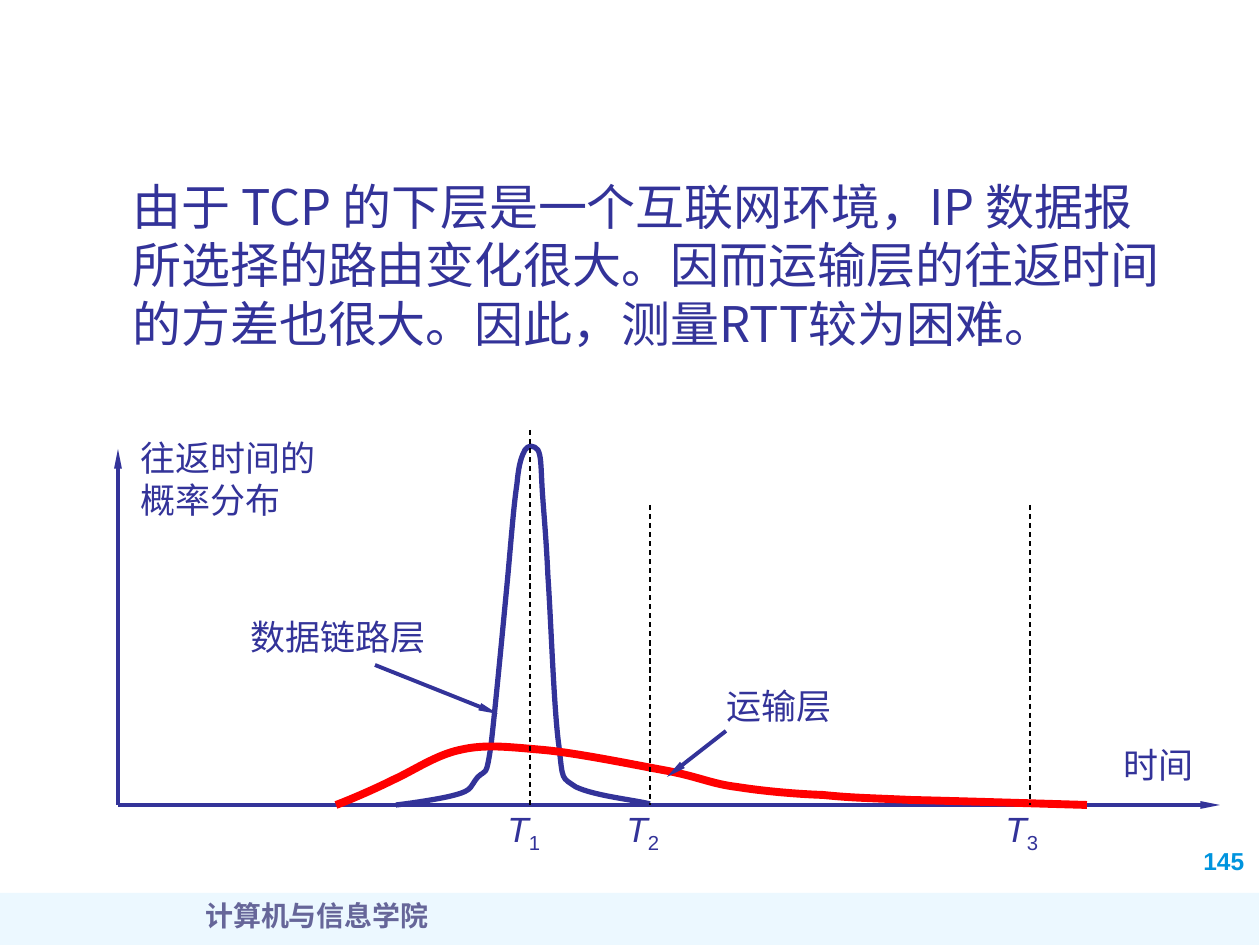
"""Build a slide on the spread of round-trip times at the link and transport layers."""
from lxml import etree
from pptx import Presentation, util as u
from pptx.dml.color import RGBColor
from pptx.enum import dml, shapes, text
from pptx.oxml import ns

PX = 914400 // 126
NAVY = RGBColor(0x33, 0x33, 0x99)
RED = RGBColor(0xFF, 0x00, 0x00)
BLACK = RGBColor(0x00, 0x00, 0x00)
SKY = RGBColor(0xA7, 0xE2, 0xFF)
BLUE = RGBColor(0x00, 0x94, 0xDE)
SLATE = RGBColor(0x66, 0x66, 0x99)
CJK = "Noto Sans CJK SC"

BAND = (-1, 893, 1260, 55)
BAND_ALPHA = 21
PAGE_NUMBER = ((1191, 840, 74, 42), "145")
FOOTER = ((34, 892, 566, 63), "计算机与信息学院")
STATEMENT = ((120, 170, 1071, 198),
             "由于 TCP 的下层是一个互联网环境，IP 数据报所选择的路由变化很大。"
             "因而运输层的往返时间的方差也很大。因此，测量RTT较为困难。")
LABELS = [
    ((1111, 737, 97, 54), ["时间"]),
    ((238, 609, 204, 54), ["数据链路层"]),
    ((714, 678, 132, 54), ["运输层"]),
    ((128, 430, 204, 97), ["往返时间的", "概率分布"]),
]
AXIS_Y = 805
AXES = [(118, AXIS_Y, 1220, AXIS_Y), (118, AXIS_Y, 118, 449)]
POINTERS = [(375, 665, 498, 714), (726, 731, 667, 777)]
MARKERS = [("1", 530, 430, 495), ("2", 650, 505, 614), ("3", 1030, 505, 993)]

LINK_LAYER = [
    (396, 805),
    (406, 804), (441, 799), (455, 795),
    (474, 790), (470, 786), (478, 777),
    (486, 769), (486, 779), (491, 746),
    (495, 712), (504, 617), (508, 575),
    (512, 530), (514, 504), (517, 484),
    (519, 462), (522, 456), (525, 450),
    (528, 445), (534, 445), (538, 450),
    (541, 456), (541, 464), (542, 484),
    (543, 505), (546, 532), (548, 576),
    (551, 619), (554, 711), (559, 746),
    (563, 781), (561, 777), (576, 787),
    (595, 796), (635, 800), (650, 804),
]
TRANSPORT_LAYER = [
    (336, 805),
    (347, 801), (373, 790), (393, 780),
    (413, 771), (436, 755), (460, 750),
    (485, 744), (508, 747), (543, 750),
    (577, 753), (635, 765), (668, 771),
    (699, 777), (712, 784), (737, 787),
    (762, 791), (794, 794), (823, 795),
    (852, 798), (867, 798), (911, 800),
    (955, 801), (1051, 804), (1087, 805),
]
CURVES = [(LINK_LAYER, NAVY, 3), (TRANSPORT_LAYER, RED, 4.5)]


def emu(lengths):
    return [length * PX for length in lengths]


def add_run(paragraph, words, size, color, font="Arial", bold=False, italic=False):
    run = paragraph.add_run()
    run.text = words
    run.font.size = u.Pt(size)
    run.font.name = font
    run.font.bold = bold
    run.font.italic = italic
    run.font.color.rgb = color
    etree.SubElement(run.font._element, ns.qn("a:ea"), typeface=CJK)
    return run


def add_text(slide, box, lines, size, color, wrap=True, align=text.PP_ALIGN.LEFT, **style):
    textbox = slide.shapes.add_textbox(*emu(box))
    frame = textbox.text_frame
    frame.word_wrap = wrap
    if not wrap:
        frame.auto_size = text.MSO_AUTO_SIZE.SHAPE_TO_FIT_TEXT
    for index, words in enumerate(lines):
        paragraph = frame.add_paragraph() if index else frame.paragraphs[0]
        paragraph.alignment = align
        if not words.isascii():
            paragraph.line_spacing = u.Pt(round(size * 1.2, 1))
        add_run(paragraph, words, size, color, **style)
    return frame


def add_line(slide, ends, color, width, arrow=False, dashed=False):
    line = slide.shapes.add_connector(shapes.MSO_CONNECTOR.STRAIGHT, *emu(ends))
    line.line.color.rgb = color
    line.line.width = u.Pt(width)
    if dashed:
        line.line.dash_style = dml.MSO_LINE.DASH
    properties = line._element.spPr
    if arrow:
        etree.SubElement(properties.find(ns.qn("a:ln")), ns.qn("a:tailEnd"),
                         type="triangle", w="sm", len="lg")
    etree.SubElement(properties, ns.qn("a:effectLst"))


def add_curve(slide, knots, color, width):
    builder = slide.shapes.build_freeform(*knots[0], scale=PX)
    builder.add_line_segments(knots[1:], close=False)
    curve = builder.convert_to_shape()
    outline = curve._element.spPr.find(".//" + ns.qn("a:path"))
    segments = outline.findall(ns.qn("a:lnTo"))
    for first in range(0, len(segments), 3):
        bend = etree.SubElement(outline, ns.qn("a:cubicBezTo"))
        for segment in segments[first:first + 3]:
            bend.append(segment[0])
            outline.remove(segment)
    curve.shadow.inherit = False
    curve.fill.background()
    curve.line.color.rgb = color
    curve.line.width = u.Pt(width)


def add_band(slide):
    band = slide.shapes.add_shape(shapes.MSO_SHAPE.RECTANGLE, *emu(BAND))
    band.shadow.inherit = False
    band.line.fill.background()
    band.fill.solid()
    band.fill.fore_color.rgb = SKY
    tint = band._element.spPr.find(".//" + ns.qn("a:srgbClr"))
    etree.SubElement(tint, ns.qn("a:alpha"), val=str(BAND_ALPHA * 1000))


def main():
    deck = Presentation()
    deck.slide_width, deck.slide_height = emu((1260, 945))
    slide = deck.slides.add_slide(deck.slide_layouts[6])

    add_band(slide)
    box, words = PAGE_NUMBER
    add_text(slide, box, [words], 14, BLUE, bold=True)
    box, words = FOOTER
    add_text(slide, box, [words], 16, SLATE, align=text.PP_ALIGN.CENTER,
             font="Times New Roman", bold=True)
    box, words = STATEMENT
    add_text(slide, box, [words], 28, NAVY, font=CJK)

    for ends in AXES:
        add_line(slide, ends, NAVY, 2.25, arrow=True)
    for knots, color, width in CURVES:
        add_curve(slide, knots, color, width)
    for number, x, top, left in MARKERS:
        add_line(slide, (x, top, x, AXIS_Y), BLACK, 0.75, dashed=True)
        frame = add_text(slide, (left, 801, 59, 54), ["T"], 20, NAVY, wrap=False, italic=True)
        subscript = add_run(frame.paragraphs[0], number, 20, NAVY)
        subscript.font._element.set("baseline", "-25000")
    for ends in POINTERS:
        add_line(slide, ends, NAVY, 2.25, arrow=True)
    for box, lines in LABELS:
        add_text(slide, box, lines, 20, NAVY, wrap=False)

    deck.save("out.pptx")


if __name__ == "__main__":
    main()
